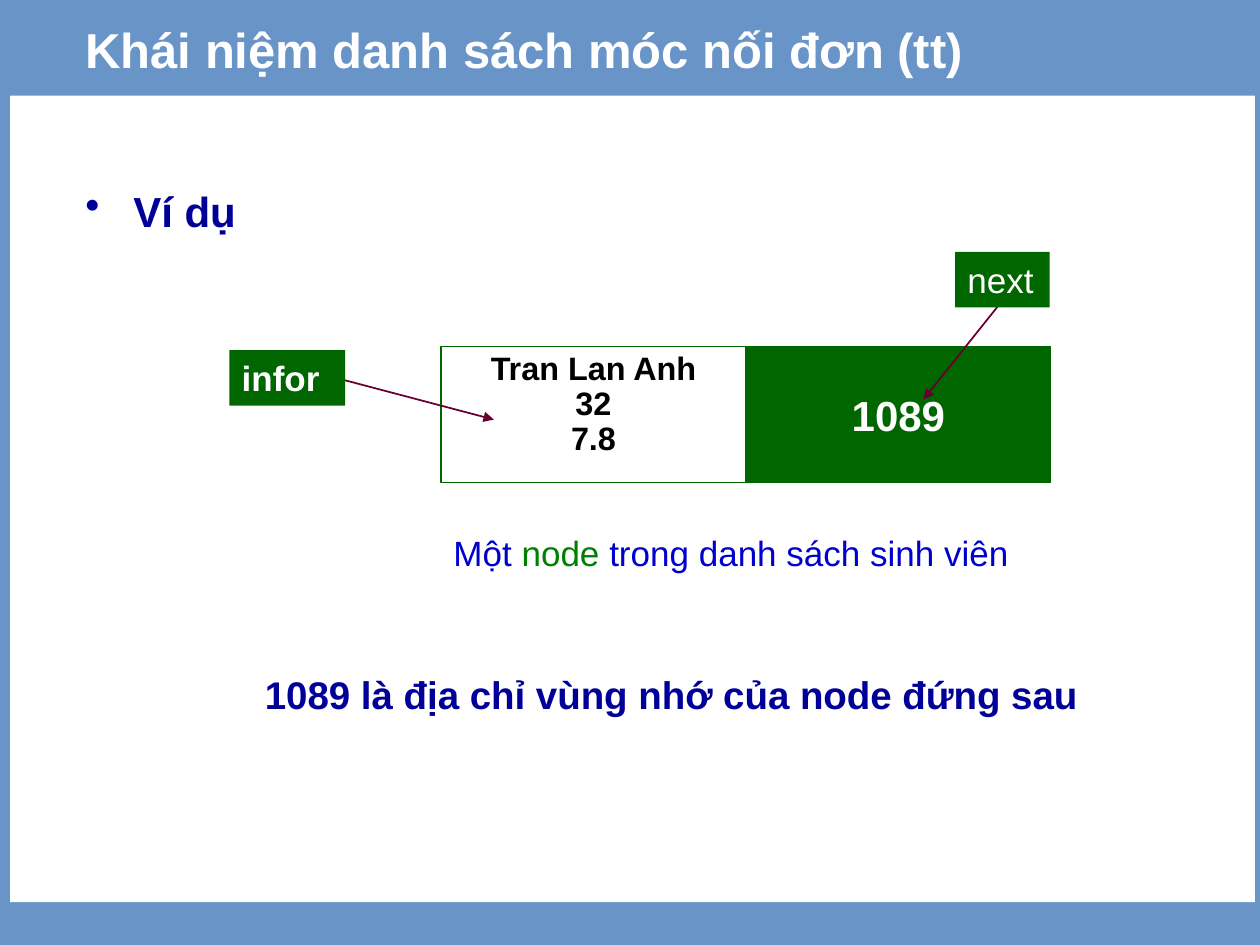
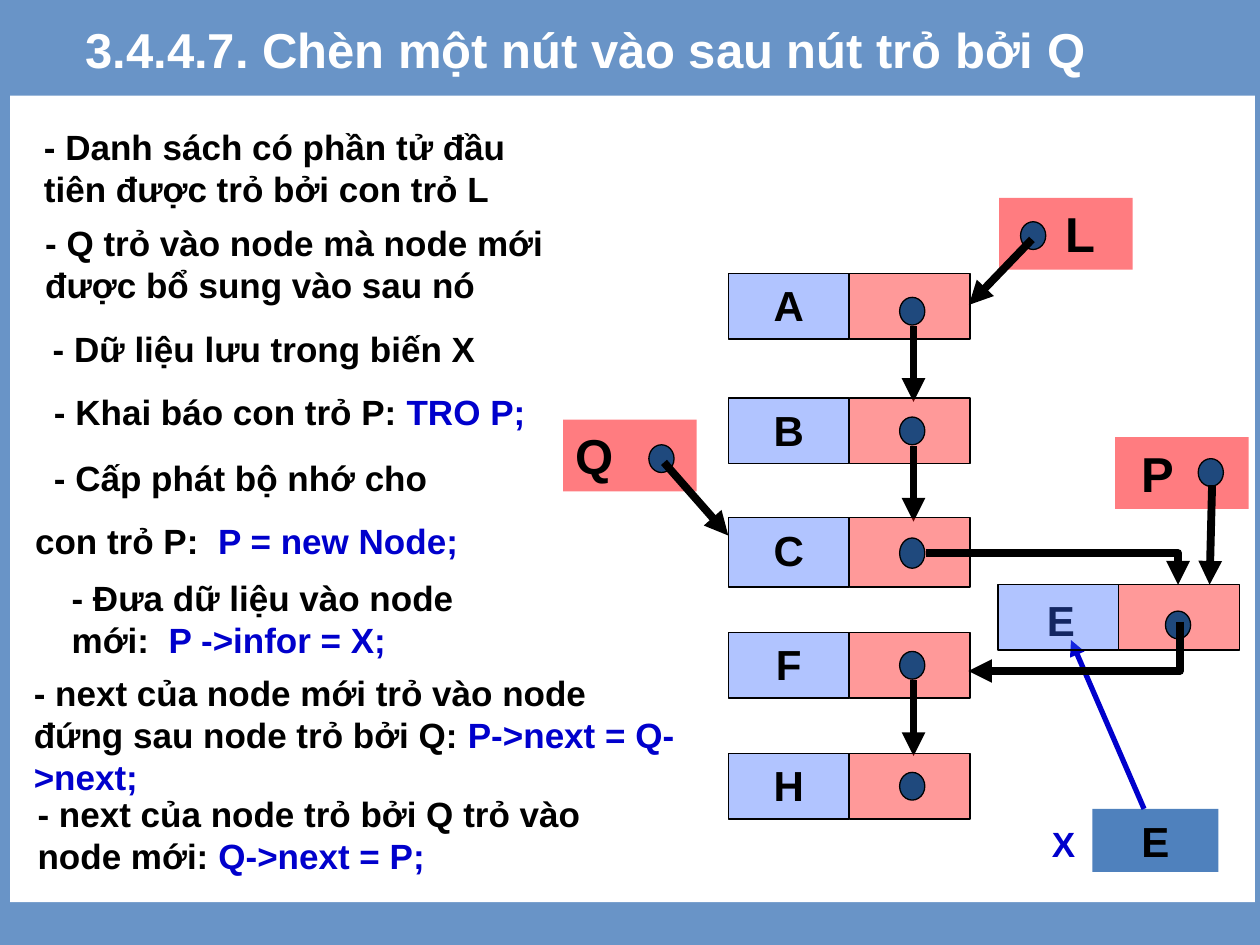
"""Build two lecture slides on singly linked lists."""
from dataclasses import dataclass

from lxml import etree
from pptx import Presentation
from pptx.dml.color import RGBColor
from pptx.enum.shapes import MSO_CONNECTOR, MSO_SHAPE
from pptx.enum.text import MSO_ANCHOR, PP_ALIGN
from pptx.oxml.ns import qn
from pptx.util import Emu, Pt

RECTANGLE = MSO_SHAPE.RECTANGLE
OVAL = MSO_SHAPE.OVAL
STRAIGHT = MSO_CONNECTOR.STRAIGHT
ELBOW = MSO_CONNECTOR.ELBOW
LEFT, CENTER = PP_ALIGN.LEFT, PP_ALIGN.CENTER
TOP, MIDDLE = MSO_ANCHOR.TOP, MSO_ANCHOR.MIDDLE
EMU_PER_PX = 9144
QUARTER_TURN = "5400000"
DOT_WIDTH = 20
DOT_HEIGHT = 22
CELL_WIDTH = 96
CELL_HEIGHT = 52


@dataclass(frozen=True)
class Theme:
    font: str = "Arial"
    background: str = "6994C7"
    white: str = "FFFFFF"
    black: str = "000000"
    navy: str = "000099"
    blue: str = "0000CC"
    green: str = "006600"
    light_green: str = "008000"
    maroon: str = "660033"
    pink: str = "FF7C80"
    steel: str = "4F81BD"
    dot: str = "1F497D"
    info_cell: str = "3366FF"
    next_cell: str = "FF0000"
    info_opacity: int = 38
    next_opacity: int = 40
    title: int = 28
    label: int = 24
    sentence: int = 22
    body: int = 20
    record: float = 18.5
    hairline: float = 0.75
    thin: float = 1
    medium: float = 3
    thick: float = 4.5


def px(length):
    return Emu(length * EMU_PER_PX)


class Deck:
    def __init__(self, theme):
        self.theme = theme
        self.presentation = Presentation()
        self.presentation.slide_width = px(1000)
        self.presentation.slide_height = px(750)
        self.slide = None

    def new_slide(self, title):
        theme = self.theme
        self.slide = self.presentation.slides.add_slide(
            self.presentation.slide_layouts[6])
        fill = self.slide.background.fill
        fill.solid()
        fill.fore_color.rgb = RGBColor.from_string(theme.background)
        self.box(8, 76, 988, 640, fill=theme.white)
        self.text(58, 1, 919, 75, [[(title, theme.white)]],
                  size=theme.title, anchor=MIDDLE)

    def box(self, left, top, width, height, fill=None, line=None,
            weight=None, opacity=100, kind=RECTANGLE):
        shape = self.slide.shapes.add_shape(
            kind, px(left), px(top), px(width), px(height))
        shape.shadow.inherit = False
        if fill:
            shape.fill.solid()
            shape.fill.fore_color.rgb = RGBColor.from_string(fill)
        else:
            shape.fill.background()
        if opacity < 100:
            color = shape._element.spPr.find(qn("a:solidFill"))[0]
            etree.SubElement(color, qn("a:alpha"), val=str(opacity * 1000))
        if line:
            shape.line.color.rgb = RGBColor.from_string(line)
            shape.line.width = Pt(weight or self.theme.hairline)
        else:
            shape.line.fill.background()
        return shape

    def text(self, left, top, width, height, paragraphs, **style):
        shape = self.slide.shapes.add_textbox(
            px(left), px(top), px(width), px(height))
        self.add_text(shape, paragraphs, **style)
        return shape

    def add_text(self, shape, paragraphs, size=None, bold=True, align=LEFT,
                 anchor=TOP, inset=10, spacing=None, space_before=0):
        frame = shape.text_frame
        frame.word_wrap = True
        frame.vertical_anchor = anchor
        frame.margin_left, frame.margin_right = px(inset), px(10)
        frame.margin_top = frame.margin_bottom = px(5)
        for index, runs in enumerate(paragraphs):
            paragraph = frame.add_paragraph() if index else frame.paragraphs[0]
            paragraph.alignment = align
            if spacing:
                paragraph.line_spacing = spacing
            if index and space_before:
                paragraph.space_before = Pt(space_before)
            for content, color in runs:
                run = paragraph.add_run()
                run.text = content
                run.font.name = self.theme.font
                run.font.size = Pt(size or self.theme.body)
                run.font.bold = bold
                run.font.color.rgb = RGBColor.from_string(color)

    def indent(self, shape, left, first_line=0, bullet=None, color=None):
        properties = shape.text_frame.paragraphs[0]._p.get_or_add_pPr()
        properties.set("marL", str(px(left)))
        properties.set("indent", str(px(first_line)))
        if bullet:
            bullet_color = etree.SubElement(properties, qn("a:buClr"))
            etree.SubElement(bullet_color, qn("a:srgbClr"), val=color)
            etree.SubElement(properties, qn("a:buChar"), char=bullet)

    def arrow(self, start, end, color, weight, kind=STRAIGHT):
        connector = self.slide.shapes.add_connector(
            kind, *(px(value) for value in (*start, *end)))
        connector.line.color.rgb = RGBColor.from_string(color)
        connector.line.width = Pt(weight)
        properties = connector._element.spPr
        etree.SubElement(properties.find(qn("a:ln")), qn("a:tailEnd"),
                         type="triangle")
        etree.SubElement(properties, qn("a:effectLst"))
        return connector

    def right_then_down(self, start, end):
        connector = self.arrow(start, end, self.theme.black,
                               self.theme.thick, ELBOW)
        geometry = connector._element.spPr.find(qn("a:prstGeom"))
        geometry.set("prst", "bentConnector2")
        return connector

    def down_then_left(self, start, end):
        width, height = start[0] - end[0], end[1] - start[1]
        left = (start[0] + end[0] - height) // 2
        top = (start[1] + end[1] - width) // 2
        connector = self.right_then_down((left, top),
                                         (left + height, top + width))
        connector._element.spPr.find(qn("a:xfrm")).set("rot", QUARTER_TURN)

    def dot(self, left, top, height=DOT_HEIGHT):
        self.box(left, top, DOT_WIDTH, height, self.theme.dot,
                 self.theme.black, kind=OVAL)

    def pointer(self, left, top, name, inset, dot):
        theme = self.theme
        shape = self.box(left, top, 106, 57, theme.pink)
        self.add_text(shape, [[(name, theme.black)]], theme.title, inset=inset)
        self.dot(*dot)

    def node(self, left, top, label=None, height=CELL_HEIGHT):
        theme = self.theme
        info = self.box(left, top, CELL_WIDTH, height, theme.info_cell,
                        theme.black, opacity=theme.info_opacity)
        if label:
            self.add_text(info, [[(label, theme.black)]], theme.label,
                          align=CENTER)
        self.box(left + CELL_WIDTH, top, CELL_WIDTH, height, theme.next_cell,
                 theme.black, opacity=theme.next_opacity)

    def tag(self, left, top, width, name, bold):
        shape = self.box(left, top, width, 44, self.theme.green)
        self.add_text(shape, [[(name, self.theme.white)]], bold=bold)


def build_example(deck):
    theme = deck.theme
    deck.new_slide("Khái niệm danh sách móc nối đơn (tt)")
    heading = deck.text(58, 142, 900, 67, [[("Ví dụ", theme.navy)]],
                        size=theme.label)
    deck.indent(heading, 38, -38, "•", theme.navy)

    record = deck.box(350, 275, 242, 108, line=theme.green, weight=theme.thin)
    deck.add_text(record, [[(field, theme.black)]
                           for field in ("Tran Lan Anh", "32", "7.8")],
                  theme.record, align=CENTER, spacing=0.9)
    address = deck.box(592, 275, 242, 108, theme.green, theme.green)
    deck.add_text(address, [[("1089", theme.white)]], theme.label,
                  align=CENTER, anchor=MIDDLE)
    deck.arrow((267, 300), (392, 333), theme.maroon, theme.thin)
    deck.arrow((800, 233), (733, 317), theme.maroon, theme.thin)
    deck.text(350, 417, 483, 44, [[
        ("Một ", theme.blue), ("node", theme.light_green),
        (" trong danh sách sinh viên", theme.blue)]], bold=False)
    deck.text(183, 528, 700, 47,
              [[("1089 là địa chỉ vùng nhớ của node đứng sau", theme.navy)]],
              size=theme.sentence, align=CENTER)
    deck.tag(182, 278, 92, "infor", True)
    deck.tag(758, 200, 75, "next", False)


def build_steps(deck):
    theme = deck.theme
    steps = (
        (25, 95, 442, 77, "- Danh sách có phần tử đầu tiên được trỏ bởi con trỏ L", ""),
        (26, 171, 442, 77, "- Q trỏ vào node mà node mới được bổ sung vào sau nó", ""),
        (32, 255, 442, 44, "- Dữ liệu lưu trong biến X", ""),
        (33, 305, 401, 44, "- Khai báo con trỏ P: ", "TRO P;"),
        (47, 453, 392, 77, "- Đưa dữ liệu vào node mới: ", " P ->infor = X;"),
        (17, 528, 533, 110,
         "- next của node mới trỏ vào node đứng sau node trỏ bởi Q: ",
         "P->next = Q->next;"),
        (20, 624, 492, 77, "- next của node trỏ bởi Q trỏ vào node mới: ",
         "Q->next = P;"),
    )
    for left, top, width, height, words, code in steps:
        runs = [(words, theme.black)]
        if code:
            runs.append((code, theme.blue))
        deck.text(left, top, width, height, [runs])
    allocation = deck.text(18, 357, 442, 94, [
        [("- Cấp phát bộ nhớ cho", theme.black)],
        [("con trỏ P: ", theme.black), (" P = new Node;", theme.blue)],
    ], space_before=12.5)
    deck.indent(allocation, 15)


def build_list(deck):
    theme = deck.theme
    list_left, dot_left, arrow_x = 578, 714, 725
    nodes = (("A", 217, CELL_HEIGHT, 19, True),
             ("B", 316, CELL_HEIGHT, 15, True),
             ("C", 411, 55, 16, False),
             ("F", 502, CELL_HEIGHT, 15, True),
             ("H", 598, CELL_HEIGHT, 15, False))
    for label, top, height, dot_offset, linked in nodes:
        dot_top = top + dot_offset
        deck.node(list_left, top, label, height)
        deck.dot(dot_left, dot_top, 24 if label == "C" else DOT_HEIGHT)
        if linked:
            deck.arrow((arrow_x, dot_top + 23), (arrow_x, dot_top + 83),
                       theme.black, theme.thick)

    deck.pointer(885, 347, "P", 21, (951, 364))
    deck.pointer(447, 333, "Q", 10, (515, 353))
    deck.pointer(793, 157, "L", 53, (810, 176))
    for start, end in (((527, 367), (578, 425)), ((819, 190), (769, 242)),
                       ((962, 385), (960, 464))):
        deck.arrow(start, end, theme.black, theme.thick)

    variable = deck.box(867, 642, 100, 50, theme.steel)
    deck.add_text(variable, [[("E", theme.black)]], theme.label, align=CENTER)
    deck.text(825, 648, 42, 44, [[("X", theme.blue)]])
    deck.arrow((908, 642), (850, 508), theme.blue, theme.medium)
    deck.text(817, 467, 50, 50, [[("E", theme.black)]],
              size=theme.label, align=CENTER)
    deck.node(792, 464)
    deck.dot(925, 485)
    deck.down_then_left((937, 494), (769, 533))
    deck.right_then_down((735, 439), (935, 464))


def main():
    deck = Deck(Theme())
    build_example(deck)
    deck.new_slide("3.4.4.7. Chèn một nút vào sau nút trỏ bởi Q")
    build_steps(deck)
    build_list(deck)
    deck.presentation.save("out.pptx")


if __name__ == "__main__":
    main()
